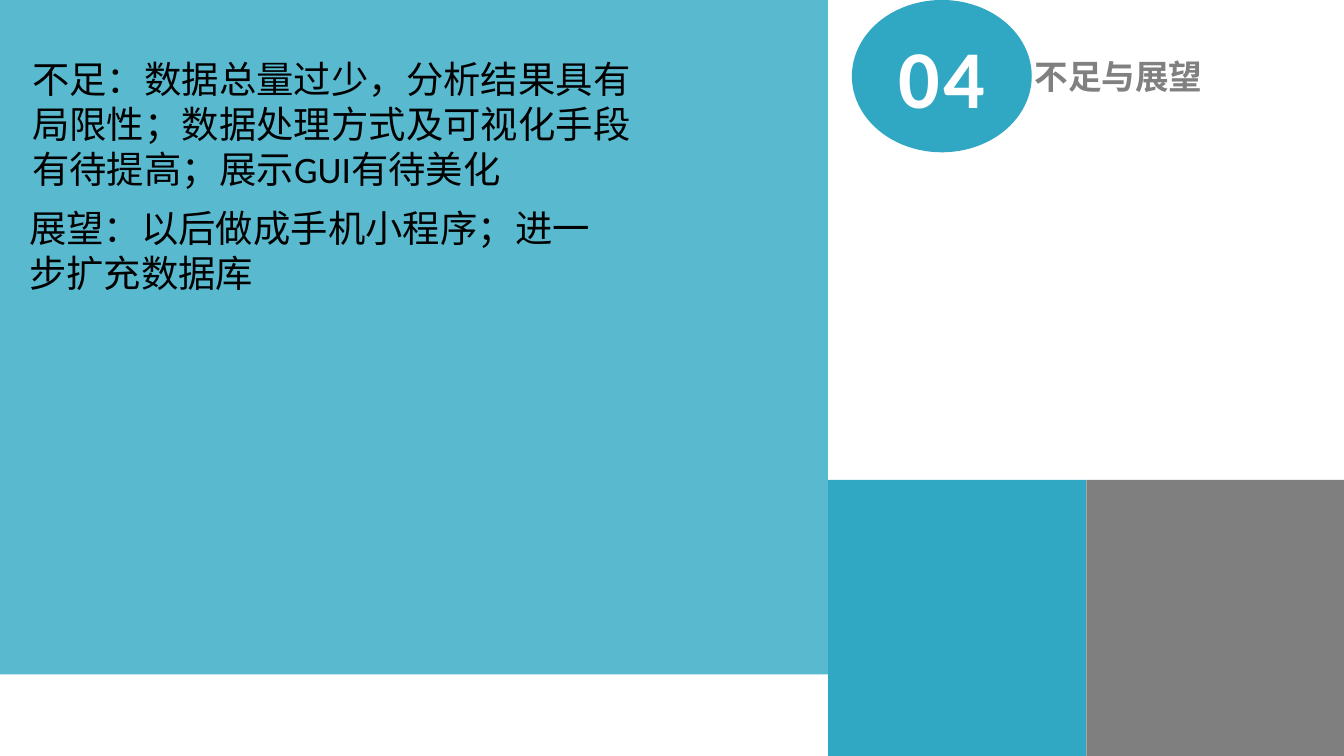
"""Build the shortcomings and outlook slide."""
from pptx import Presentation
from pptx.dml.color import RGBColor
from pptx.enum.shapes import MSO_SHAPE
from pptx.enum.text import MSO_ANCHOR, MSO_AUTO_SIZE, PP_ALIGN
from pptx.oxml.ns import qn
from pptx.util import Cm, Pt
from lxml.etree import SubElement

COLORS = {"teal": "30A8C4", "gray": "7F7F7F", "title": "808080",
          "white": "FFFFFF", "black": "000000"}
LATIN, HAN = "Calibri", "Noto Sans CJK SC"

deck = Presentation()
deck.slide_width, deck.slide_height = Cm(25.4), Cm(14.29)
slide = deck.slides.add_slide(deck.slide_layouts[6])


def add_block(kind, box, color):
    block = slide.shapes.add_shape(kind, *map(Cm, box))
    block.shadow.inherit = False
    block.fill.solid()
    block.fill.fore_color.rgb = RGBColor.from_string(COLORS[color])
    block.line.fill.background()
    return block


def set_text(shape, text, size, color, face, bold=False):
    shape.text_frame.word_wrap = True
    para = shape.text_frame.paragraphs[0]
    run = para.add_run()
    run.text = text
    font = para.font
    font.name, font.size, font.bold = face, Pt(size), bold
    font.color.rgb = RGBColor.from_string(COLORS[color])
    SubElement(run._r.get_or_add_rPr(), qn("a:ea"), typeface=HAN)
    return para, run


split, tile, top = 15.65, 4.88, 9.07
panel = add_block(MSO_SHAPE.RECTANGLE, (0, 0, split, 12.75), "teal")
tint = panel.fill._xPr.find(qn("a:solidFill"))[0]
SubElement(tint, qn("a:alpha"), val="80000")
for col, color in enumerate(("teal", "gray")):
    add_block(MSO_SHAPE.RECTANGLE, (split + col * tile, top, tile, 5.26), color)

badge = add_block(MSO_SHAPE.OVAL, (16.1, 0, 3.4, 2.88), "teal")
para, run = set_text(badge, "04", 44, "white", LATIN, True)
para.alignment = PP_ALIGN.CENTER
run._r.get_or_add_rPr().set("spc", "210")
badge.text_frame.vertical_anchor = MSO_ANCHOR.MIDDLE

texts = [
    ((19.3, 0.94, 6.7, 1.02), "不足与展望", 18, "title", HAN, True),
    ((0.36, 0.94, 12.4, 2.82),
     "不足：数据总量过少，分析结果具有局限性；数据处理方式及可视化手段有待提高；展示GUI有待美化",
     20, "black", LATIN, False),
    ((0.3, 3.76, 11.2, 1.96),
     "展望：以后做成手机小程序；进一步扩充数据库", 20, "black", LATIN, False),
]
for box, *style in texts:
    label = slide.shapes.add_textbox(*map(Cm, box))
    set_text(label, *style)
    label.text_frame.auto_size = MSO_AUTO_SIZE.SHAPE_TO_FIT_TEXT

deck.save("out.pptx")
